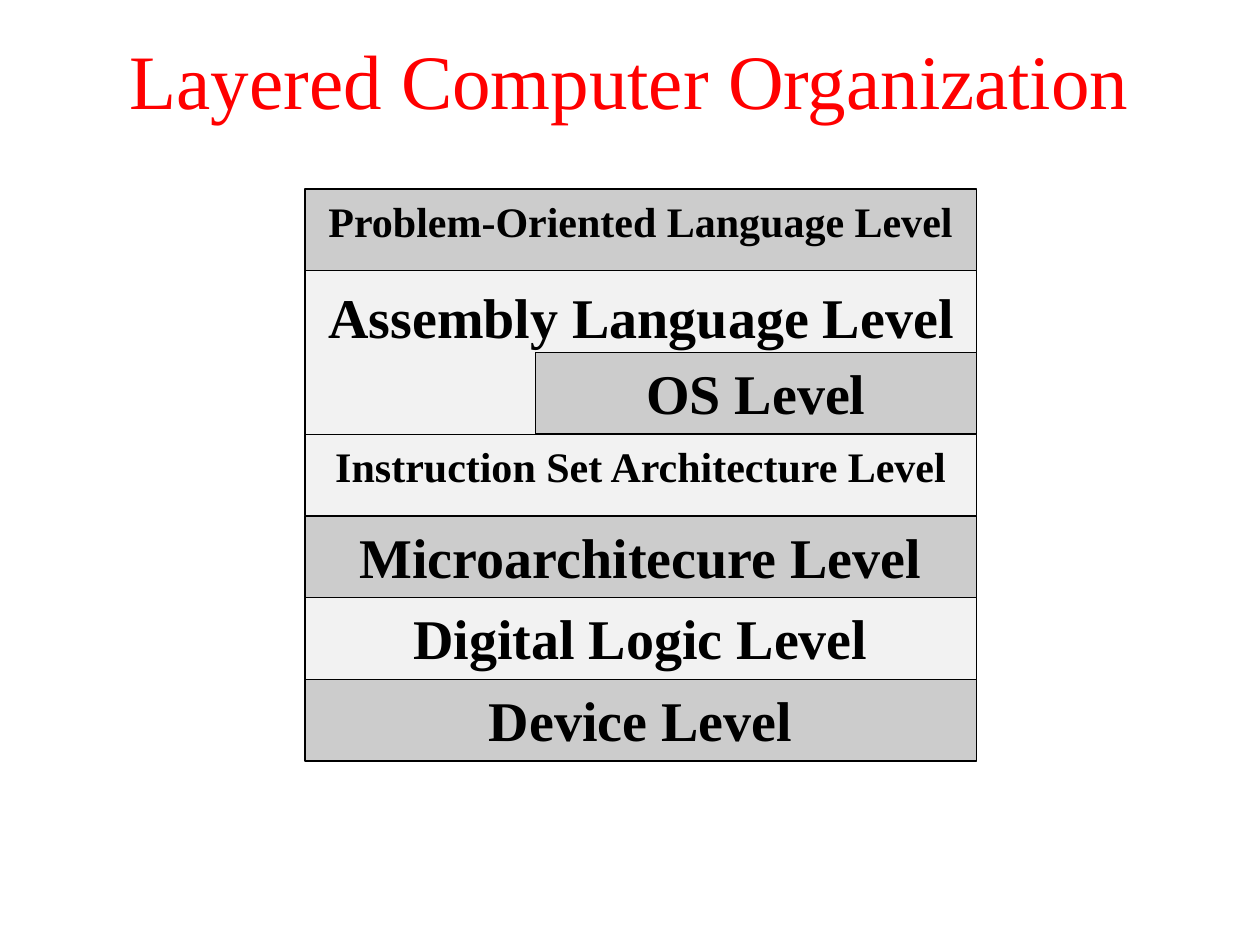
from dataclasses import dataclass

import pptx
import pptx.dml.color
import pptx.enum.shapes
import pptx.enum.text
import pptx.util
from pptx.shapes.autoshape import Shape
from pptx.shapes.shapetree import SlideShapes

COLORS = {"title": "FF0000", "text": "000000", "line": "000000", "dark": "CCCCCC", "light": "F2F2F2"}
FONT = "Times New Roman"
SLIDE_WIDTH, SLIDE_HEIGHT = 10, 7.5
STACK_LEFT, STACK_RIGHT = 2.42, 7.75
STACK_TOP, STACK_BOTTOM = 1.5, 6.04
STACK_WIDTH = STACK_RIGHT - STACK_LEFT
ROW_COUNT = 7
ROW_HEIGHT = (STACK_BOTTOM - STACK_TOP) / ROW_COUNT
OS_LEFT = 4.25
ASSEMBLY_ROW, ASSEMBLY_ROWS = 1, 2


@dataclass
class Level:
    name: str
    row: int
    fill: str
    size: int = 32
    left: float = STACK_LEFT


LEVELS = [
    Level("Device Level", 6, "dark"),
    Level("Digital Logic Level", 5, "light"),
    Level("Microarchitecure Level", 4, "dark"),
    Level("OS Level", 2, "dark", left=OS_LEFT),
    Level("Problem-Oriented Language Level", 0, "dark", 24),
    Level("Instruction Set Architecture Level", 3, "light", 24),
]


def color(name: str) -> pptx.dml.color.RGBColor:
    return pptx.dml.color.RGBColor.from_string(COLORS[name])


def row_top(row: int) -> float:
    return STACK_TOP + row * ROW_HEIGHT


def inches(*lengths: float) -> list[pptx.util.Length]:
    return [pptx.util.Inches(length) for length in lengths]


def write(shape: Shape, text: str, size: int, color_name: str = "text", bold: bool = True,
          anchor: pptx.enum.text.MSO_ANCHOR = pptx.enum.text.MSO_ANCHOR.TOP, wrap: bool = True) -> None:
    frame = shape.text_frame
    frame.text = text
    frame.word_wrap = wrap
    frame.vertical_anchor = anchor
    paragraph = frame.paragraphs[0]
    paragraph.alignment = pptx.enum.text.PP_ALIGN.CENTER
    font = paragraph.runs[0].font
    font.name = FONT
    font.size = pptx.util.Pt(size)
    font.bold = bold
    font.color.rgb = color(color_name)


def paint(shape: Shape, fill: str) -> None:
    shape.shadow.inherit = False
    shape.fill.solid()
    shape.fill.fore_color.rgb = color(fill)
    shape.line.color.rgb = color("line")
    shape.line.width = pptx.util.Pt(0.75)


def draw_level(shapes: SlideShapes, level: Level) -> None:
    shape = shapes.add_shape(
        pptx.enum.shapes.MSO_SHAPE.RECTANGLE,
        *inches(level.left, row_top(level.row), STACK_RIGHT - level.left, ROW_HEIGHT))
    paint(shape, level.fill)
    write(shape, level.name, level.size)


def draw_assembly_level(shapes: SlideShapes) -> None:
    height = ASSEMBLY_ROWS * ROW_HEIGHT
    center_x = STACK_LEFT + STACK_WIDTH / 2
    center_y = row_top(ASSEMBLY_ROW) + height / 2
    corner = shapes.add_shape(
        pptx.enum.shapes.MSO_SHAPE.CORNER,
        *inches(center_x - height / 2, center_y - STACK_WIDTH / 2, height, STACK_WIDTH))
    corner.rotation = 90
    corner.adjustments[0] = (OS_LEFT - STACK_LEFT) / height
    corner.adjustments[1] = 1 / ASSEMBLY_ROWS
    paint(corner, "light")
    label = shapes.add_textbox(*inches(2.48, 2.19, 5.22, 0.64))
    write(label, "Assembly Language Level", 32, wrap=False)


def main() -> None:
    presentation = pptx.Presentation()
    presentation.slide_width, presentation.slide_height = inches(SLIDE_WIDTH, SLIDE_HEIGHT)
    slide = presentation.slides.add_slide(presentation.slide_layouts[6])
    title = slide.shapes.add_textbox(*inches(0, 0, SLIDE_WIDTH, SLIDE_HEIGHT / 6))
    write(title, "Layered Computer Organization", 44, "title", False, pptx.enum.text.MSO_ANCHOR.MIDDLE)
    for level in LEVELS[:-1]:
        draw_level(slide.shapes, level)
    draw_assembly_level(slide.shapes)
    draw_level(slide.shapes, LEVELS[-1])
    presentation.save("out.pptx")


if __name__ == "__main__":
    main()
